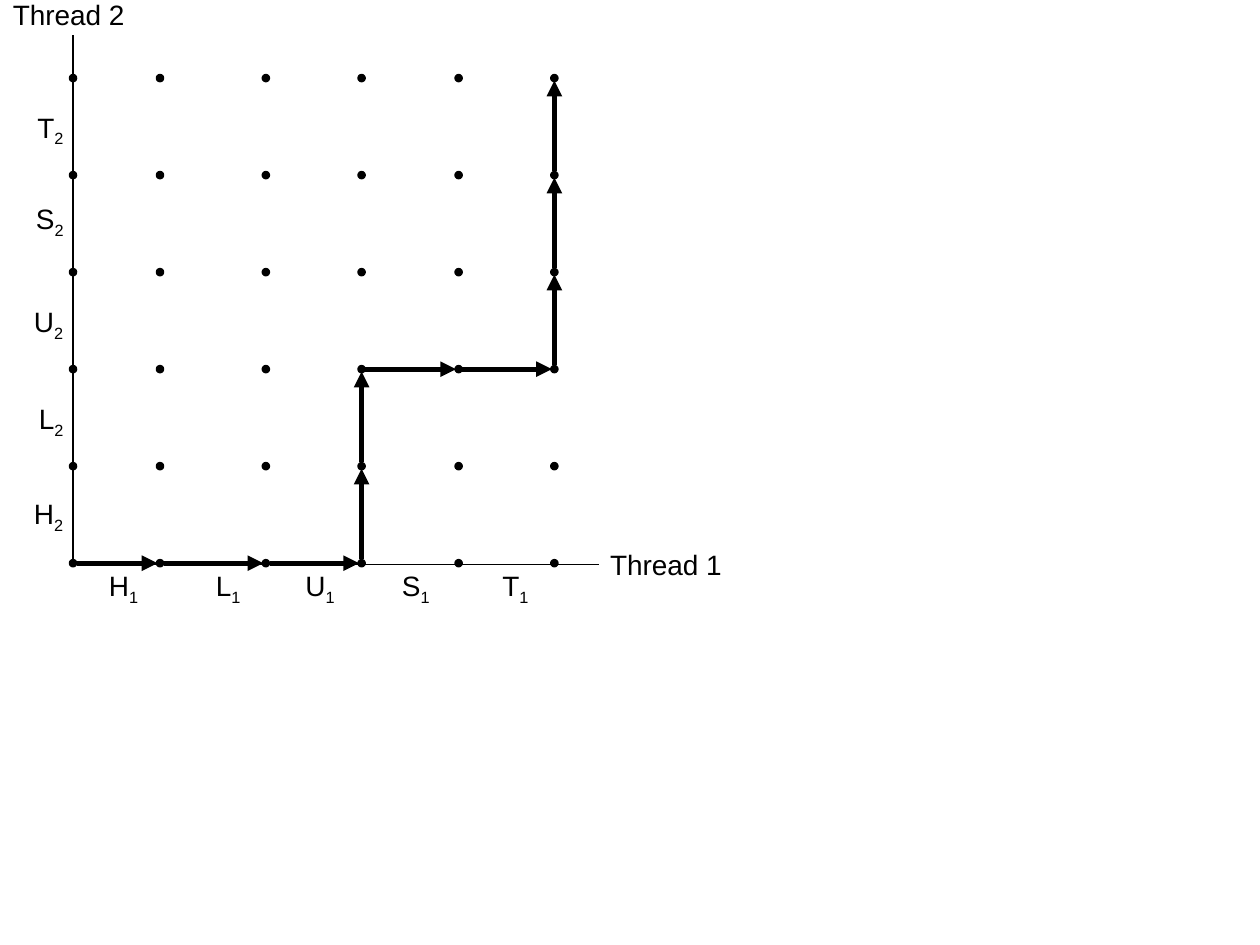
"""Build a progress graph of two threads with one execution trajectory."""
from itertools import pairwise, product

from pptx import Presentation
from pptx.dml.color import RGBColor
from pptx.enum.shapes import MSO_CONNECTOR as Connector, MSO_SHAPE as Shape
from pptx.enum.text import MSO_ANCHOR as Anchor, MSO_AUTO_SIZE as AutoSize, PP_ALIGN as Align
from pptx.oxml.ns import qn
from pptx.util import Inches, Pt

BLACK = RGBColor(0, 0, 0)
STEP_WIDTHS = {"H": 0.45, "L": 0.41, "U": 0.45, "S": 0.43, "T": 0.42}
THREAD_1_CENTERS = [0.98, 1.81, 2.54, 3.3, 4.09]
THREAD_2_TOPS = [3.91, 3.15, 2.38, 1.57, 0.84]
AXIS_TITLES = [("Thread 1", 4.74, 4.29), ("Thread 2", 0, -0.07)]
TRAJECTORY = [(0, 0), (1, 0), (2, 0), (3, 0), (3, 1), (3, 2),
              (4, 2), (5, 2), (5, 3), (5, 4), (5, 5)]

COLUMNS = [0.58, 1.27, 2.11, 2.87, 3.64, 4.4]
ROWS = [4.47 - 0.77 * row for row in range(6)]
ORIGIN = (0.58, 4.48)
AXIS_ENDS = [(4.75, 4.48), (0.58, 0.28)]
DOT = 0.04
START_GAP, END_GAP = 0.03, 0.02
LABEL_HEIGHT, TITLE_WIDTH = 0.37, 1.09
THREAD_2_RIGHT = 0.61


def add_line(slide, start, end, weight, arrow=False):
    line = slide.shapes.add_connector(
        Connector.STRAIGHT, *(Inches(value) for value in (*start, *end)))
    line.line.color.rgb = BLACK
    line.line.width = Pt(weight)
    properties = line._element.spPr
    if arrow:
        outline = line.line._get_or_add_ln()
        outline.append(outline.makeelement(qn("a:tailEnd"), {"type": "triangle"}))
    properties.append(properties.makeelement(qn("a:effectLst"), {}))


def add_dot(slide, x, y):
    dot = slide.shapes.add_shape(
        Shape.OVAL, Inches(x - DOT / 2), Inches(y - DOT / 2), Inches(DOT), Inches(DOT))
    dot.shadow.inherit = False
    dot.fill.solid()
    dot.fill.fore_color.rgb = BLACK
    dot.line.color.rgb = BLACK
    dot.line.width = Pt(2)


def add_label(slide, text, left, top, width, subscript=""):
    label = slide.shapes.add_textbox(
        Inches(left), Inches(top), Inches(width), Inches(LABEL_HEIGHT))
    frame = label.text_frame
    frame.word_wrap = False
    frame.auto_size = AutoSize.SHAPE_TO_FIT_TEXT
    frame.vertical_anchor = Anchor.MIDDLE
    paragraph = frame.paragraphs[0]
    paragraph.alignment = Align.CENTER
    paragraph.font.name = "Arial"
    paragraph.font.size = Pt(16)
    paragraph.font.color.rgb = BLACK
    paragraph.add_run().text = text
    if subscript:
        index = paragraph.add_run()
        index.text = subscript
        index.font._element.set("baseline", "-25000")


def add_step(slide, start, end):
    (x1, y1), (x2, y2) = ((COLUMNS[col], ROWS[row]) for col, row in (start, end))
    across, up = end[0] - start[0], end[1] - start[1]
    add_line(slide, (x1 + START_GAP * across, y1 - START_GAP * up),
             (x2 - END_GAP * across, y2 + END_GAP * up), 3, arrow=True)


def main():
    deck = Presentation()
    deck.slide_width, deck.slide_height = Inches(10), Inches(7.5)
    slide = deck.slides.add_slide(deck.slide_layouts[6])

    for end in AXIS_ENDS:
        add_line(slide, ORIGIN, end, 1)
    for (step, width), center in zip(STEP_WIDTHS.items(), THREAD_1_CENTERS):
        add_label(slide, step, center - width / 2, ORIGIN[1], width, "1")
    for (step, width), top in zip(STEP_WIDTHS.items(), THREAD_2_TOPS):
        add_label(slide, step, THREAD_2_RIGHT - width, top, width, "2")
    for title, left, top in AXIS_TITLES:
        add_label(slide, title, left, top, TITLE_WIDTH)
    for y, x in product(ROWS, COLUMNS):
        add_dot(slide, x, y)
    for start, end in pairwise(TRAJECTORY):
        add_step(slide, start, end)

    deck.save("out.pptx")


if __name__ == "__main__":
    main()
